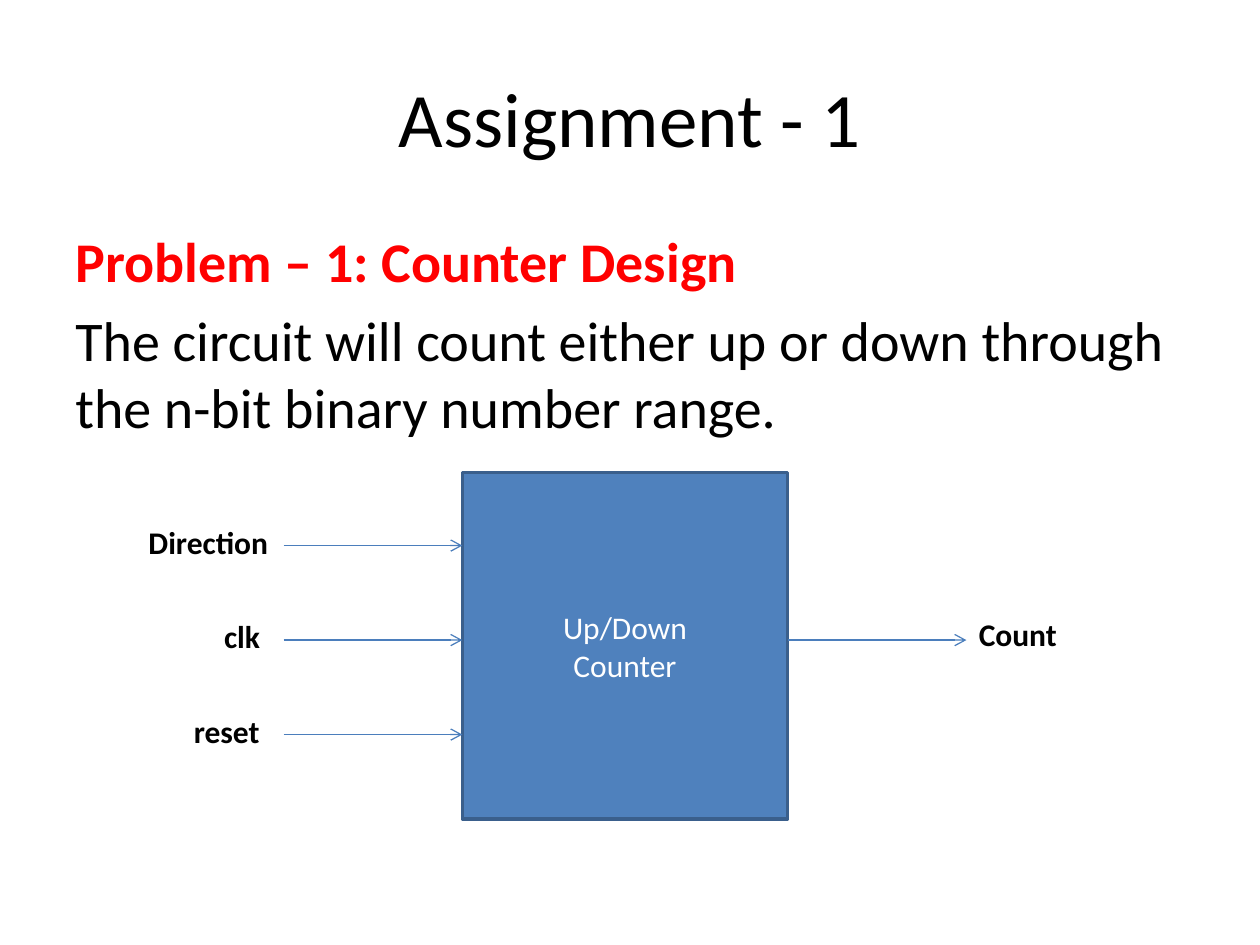
"""Build the counter design assignment slide with its block diagram."""
from lxml import etree
from pptx import Presentation
from pptx.dml.color import RGBColor
from pptx.enum.shapes import MSO_CONNECTOR, MSO_SHAPE
from pptx.enum.text import MSO_ANCHOR, PP_ALIGN
from pptx.oxml.ns import qn
from pptx.util import Inches, Pt

STRAIGHT = MSO_CONNECTOR.STRAIGHT
RECTANGLE = MSO_SHAPE.RECTANGLE
TOP, MIDDLE = MSO_ANCHOR.TOP, MSO_ANCHOR.MIDDLE
LEFT, CENTER = PP_ALIGN.LEFT, PP_ALIGN.CENTER

COLORS = {"text": "000000", "heading": "FF0000", "block": "4F81BD",
          "border": "3A5F8C", "arrow": "4B7EBC", "block_text": "FFFFFF"}
FONT = "Calibri"

TITLE = "Assignment - 1"
PROBLEM = [
    ("Problem – 1: Counter Design", "heading", True),
    ("The circuit will count either up or down through the n-bit binary number range.",
     "text", False),
]
COUNTER = ["Up/Down", "Counter"]
INPUTS = [("Direction", 1.08, 1.16), ("clk", 1.68, 0.49), ("reset", 1.44, 0.73)]
OUTPUT = ("Count", 7.67, 0.83)

BLOCK_LEFT, BLOCK_TOP, BLOCK_WIDTH, BLOCK_HEIGHT = 3.67, 3.75, 2.58, 2.75
BLOCK_RIGHT = BLOCK_LEFT + BLOCK_WIDTH
ARROW_LENGTH = 1.42
FIRST_INPUT_Y, INPUT_GAP = 4.33, 0.75
OUTPUT_Y = FIRST_INPUT_Y + INPUT_GAP
LABEL_HEIGHT = 0.4


def rgb(name):
    return RGBColor.from_string(COLORS[name])


def write(shape, lines, size, align=LEFT, anchor=TOP, space=0, wrap=True):
    frame = shape.text_frame
    frame.word_wrap = wrap
    frame.vertical_anchor = anchor
    for index, (text, color, bold) in enumerate(lines):
        paragraph = frame.add_paragraph() if index else frame.paragraphs[0]
        paragraph.text = text
        paragraph.alignment = align
        paragraph.space_before = Pt(space)
        font = paragraph.font
        font.name, font.size, font.bold = FONT, Pt(size), bold
        font.color.rgb = rgb(color)


def add_text(slide, box, lines, size, **options):
    write(slide.shapes.add_textbox(*map(Inches, box)), lines, size, **options)


def add_label(slide, label, top):
    text, left, width = label
    add_text(slide, (left, top, width, LABEL_HEIGHT), [(text, "text", True)], 18, wrap=False)


def add_arrow(slide, start, y):
    arrow = slide.shapes.add_connector(
        STRAIGHT, *map(Inches, (start, y, start + ARROW_LENGTH, y)))
    arrow.line.color.rgb = rgb("arrow")
    arrow.line.width = Pt(0.75)
    etree.SubElement(arrow.line._get_or_add_ln(), qn("a:tailEnd"), type="arrow")
    etree.SubElement(arrow._element.spPr, qn("a:effectLst"))


def add_counter(slide):
    block = slide.shapes.add_shape(
        RECTANGLE, *map(Inches, (BLOCK_LEFT, BLOCK_TOP, BLOCK_WIDTH, BLOCK_HEIGHT)))
    block.shadow.inherit = False
    block.fill.solid()
    block.fill.fore_color.rgb = rgb("block")
    block.line.color.rgb = rgb("border")
    block.line.width = Pt(2)
    write(block, [(text, "block_text", False) for text in COUNTER], 18,
          align=CENTER, anchor=MIDDLE)


def main():
    deck = Presentation()
    deck.slide_width, deck.slide_height = Inches(10), Inches(7.5)
    slide = deck.slides.add_slide(deck.slide_layouts[6])
    add_text(slide, (0.5, 0.3, 9, 1.25), [(TITLE, "text", False)], 44,
             align=CENTER, anchor=MIDDLE)
    add_text(slide, (0.5, 1.75, 9, 4.95), PROBLEM, 32, space=6.4)
    add_counter(slide)
    for row, label in enumerate(INPUTS):
        y = FIRST_INPUT_Y + row * INPUT_GAP
        add_arrow(slide, BLOCK_LEFT - ARROW_LENGTH, y)
        add_label(slide, label, y - 0.23)
    add_arrow(slide, BLOCK_RIGHT, OUTPUT_Y)
    add_label(slide, OUTPUT, OUTPUT_Y - 0.25)
    deck.save("out.pptx")


if __name__ == "__main__":
    main()
